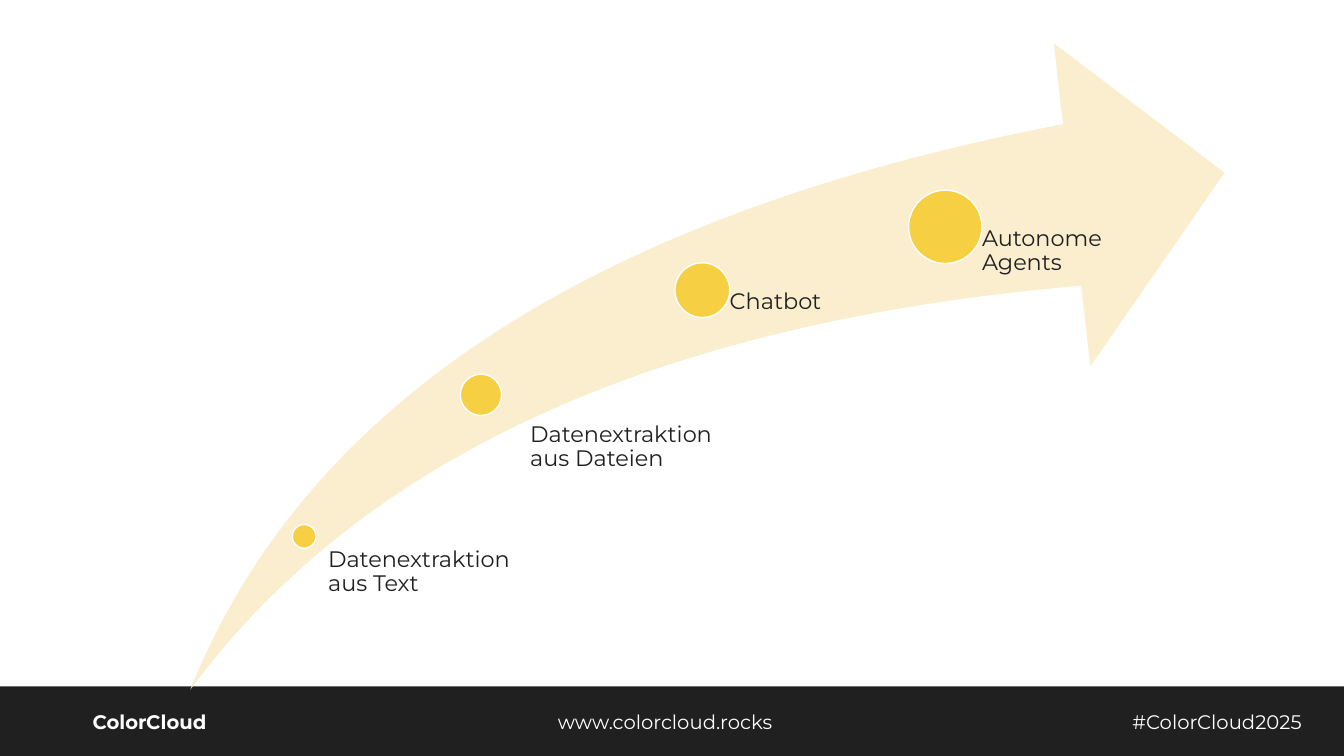
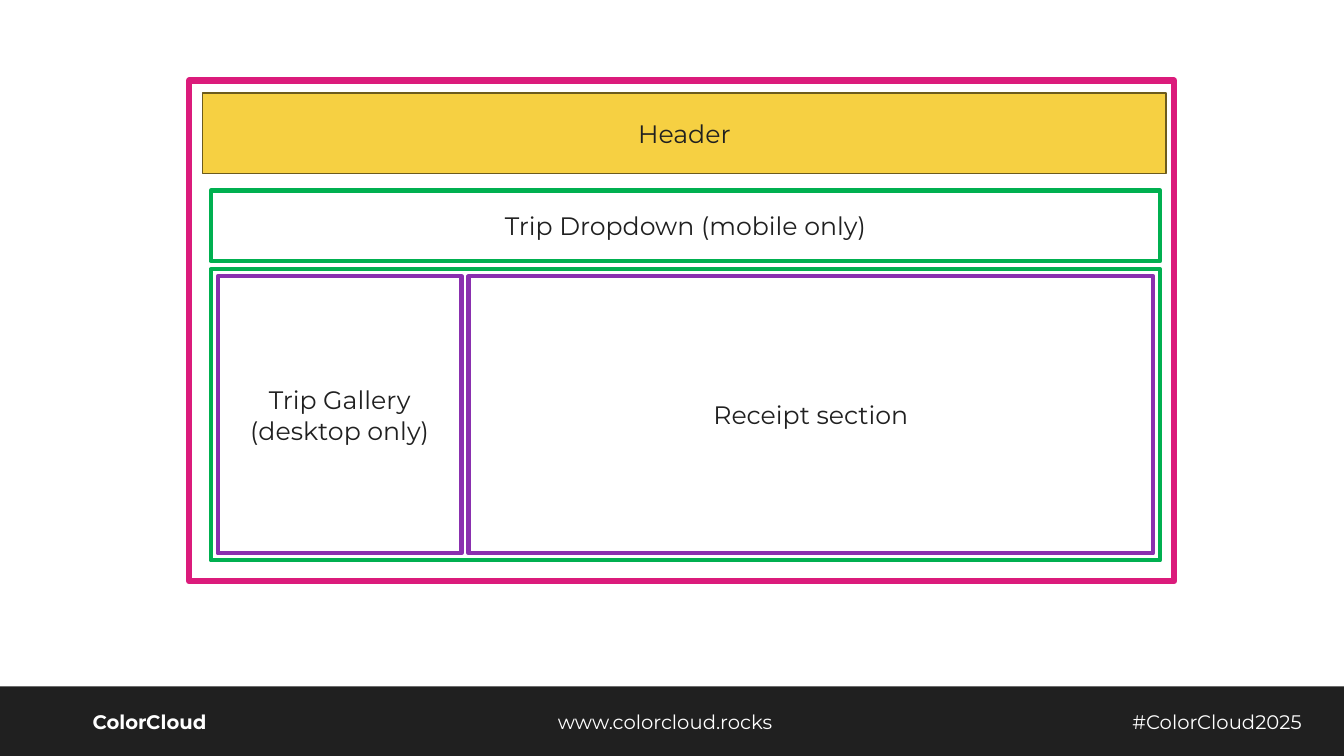
from dataclasses import dataclass
from typing import NamedTuple

from pptx import Presentation
from pptx.dml.color import RGBColor
from pptx.enum.shapes import MSO_SHAPE
from pptx.enum.text import MSO_ANCHOR, PP_ALIGN
from pptx.util import Pt


@dataclass(frozen=True)
class Theme:
    font: str = "Montserrat"
    ink: str = "202020"
    paper: str = "FFFFFF"
    yellow: str = "F6D042"
    sand: str = "FBEECF"
    olive: str = "6C5B1D"
    pink: str = "DB1B7B"
    green: str = "00B050"
    purple: str = "8A30AF"
    footer_size: float = 14
    label_size: float = 16
    block_size: float = 18


class Box(NamedTuple):
    left: float
    top: float
    width: float
    height: float

    def points(self):
        return [Pt(length) for length in self]


THEME = Theme()
PAGE = Box(0, 0, 960, 540)
FOOTER = Box(0, 490.2, PAGE.width, 49.8)
ARROW = Box(136, 31, 738.7, 461.5)
WIREFRAME = Box(135.2, 57.5, 703.4, 357.8)

# Text, centre and diameter as shares of the arrow box, label shift in points
MILESTONES = [
    ("Datenextraktion aus Text", 0.11, 0.763, 0.023, 8.6),
    ("Datenextraktion aus Dateien", 0.281, 0.544, 0.04, 20.4),
    ("Chatbot", 0.495, 0.382, 0.053, 0),
    ("Autonome Agents", 0.73, 0.284, 0.071, 0),
]


def write(shape, text, size, color, align=PP_ALIGN.LEFT, bold=False):
    frame = shape.text_frame
    frame.word_wrap = True
    para = frame.paragraphs[0]
    para.text = text
    para.alignment = align
    para.font.name = THEME.font
    para.font.size = Pt(size)
    para.font.bold = bold
    para.font.color.rgb = RGBColor.from_string(color)
    return frame


def add_filled(page, kind, box, fill, line=None, line_width=1):
    shape = page.shapes.add_shape(kind, *box.points())
    shape.shadow.inherit = False
    shape.fill.solid()
    shape.fill.fore_color.rgb = RGBColor.from_string(fill)
    if line:
        shape.line.color.rgb = RGBColor.from_string(line)
        shape.line.width = Pt(line_width)
    else:
        shape.line.fill.background()
    return shape


def add_block(page, box, line, line_width=3, text=None, fill=THEME.paper):
    block = add_filled(page, MSO_SHAPE.RECTANGLE, box, fill, line, line_width)
    if text:
        frame = write(block, text, THEME.block_size, THEME.ink, PP_ALIGN.CENTER)
        frame.vertical_anchor = MSO_ANCHOR.MIDDLE


def add_footer(page, box):
    add_filled(page, MSO_SHAPE.RECTANGLE, box, THEME.ink)
    for text, left, width, align, bold in [
        ("ColorCloud", 59, 123.8, PP_ALIGN.LEFT, True),
        ("www.colorcloud.rocks", 340.4, 269.3, PP_ALIGN.CENTER, False),
        ("#ColorCloud2025", 778.8, 181.2, PP_ALIGN.CENTER, False),
    ]:
        place = Box(box.left + left, box.top + 13, width, 24.2)
        entry = page.shapes.add_textbox(*place.points())
        write(entry, text, THEME.footer_size, THEME.paper, align, bold)


def add_milestone(page, box, text, across, down, share, shift):
    """Place a dot on the arrow box, with its label below and to the right."""
    x = box.left + across * box.width
    y = box.top + down * box.height
    size = share * box.width
    dot = Box(x - size / 2, y - size / 2, size, size)
    add_filled(page, MSO_SHAPE.OVAL, dot, THEME.yellow, THEME.paper)

    place = Box(x + shift, y + shift, 154.8, (1 - down) * box.height)
    label = page.shapes.add_textbox(*place.points())
    frame = write(label, text, THEME.label_size, THEME.ink)
    frame.margin_left = Pt(size / 2)
    frame.margin_top = frame.margin_right = frame.margin_bottom = 0
    frame.paragraphs[0].line_spacing = 0.9


def add_growth_arrow(page, box):
    arrow = add_filled(page, MSO_SHAPE.SWOOSH_ARROW, box, THEME.sand)
    arrow.adjustments[0] = arrow.adjustments[1] = 0.25
    for milestone in MILESTONES:
        add_milestone(page, box, *milestone)


def add_wireframe(page, box):
    """Draw the nested containers of the app screen."""
    add_block(page, box, THEME.pink, 4.5)
    header = Box(box.left + 9.5, box.top + 8.9, box.width - 15.1, 57.6)
    add_block(page, header, THEME.olive, 1, "Header", THEME.yellow)

    left, width = box.left + 15.3, box.width - 25.2
    dropdown = Box(left, box.top + 78.6, width, 50.4)
    add_block(page, dropdown, THEME.green, text="Trip Dropdown (mobile only)")
    body = Box(left, box.top + 134.8, width, 208)
    add_block(page, body, THEME.green)

    gap = 5
    column_left = body.left + gap
    gallery_width = 174.2
    for text, column_width in [
        ("Trip Gallery (desktop only)", gallery_width),
        ("Receipt section", body.width - gallery_width - 3 * gap),
    ]:
        column = Box(column_left, body.top + gap, column_width, body.height - 2 * gap)
        add_block(page, column, THEME.purple, text=text)
        column_left += column_width + gap


def main():
    deck = Presentation()
    deck.slide_width, deck.slide_height = Pt(PAGE.width), Pt(PAGE.height)
    for add_content, box in [(add_growth_arrow, ARROW), (add_wireframe, WIREFRAME)]:
        page = deck.slides.add_slide(deck.slide_layouts[6])
        add_footer(page, FOOTER)
        add_content(page, box)
    deck.save("out.pptx")


if __name__ == "__main__":
    main()
